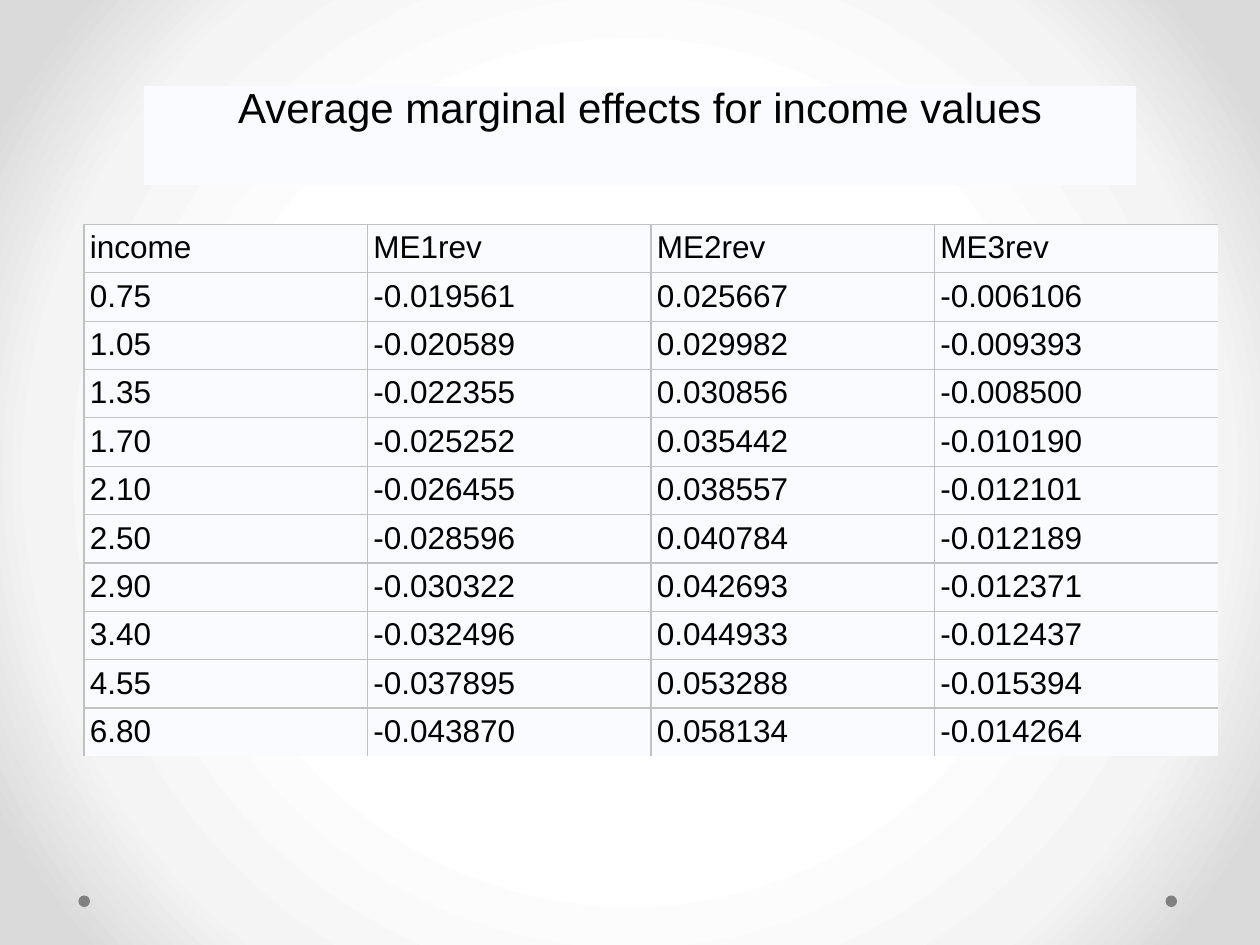
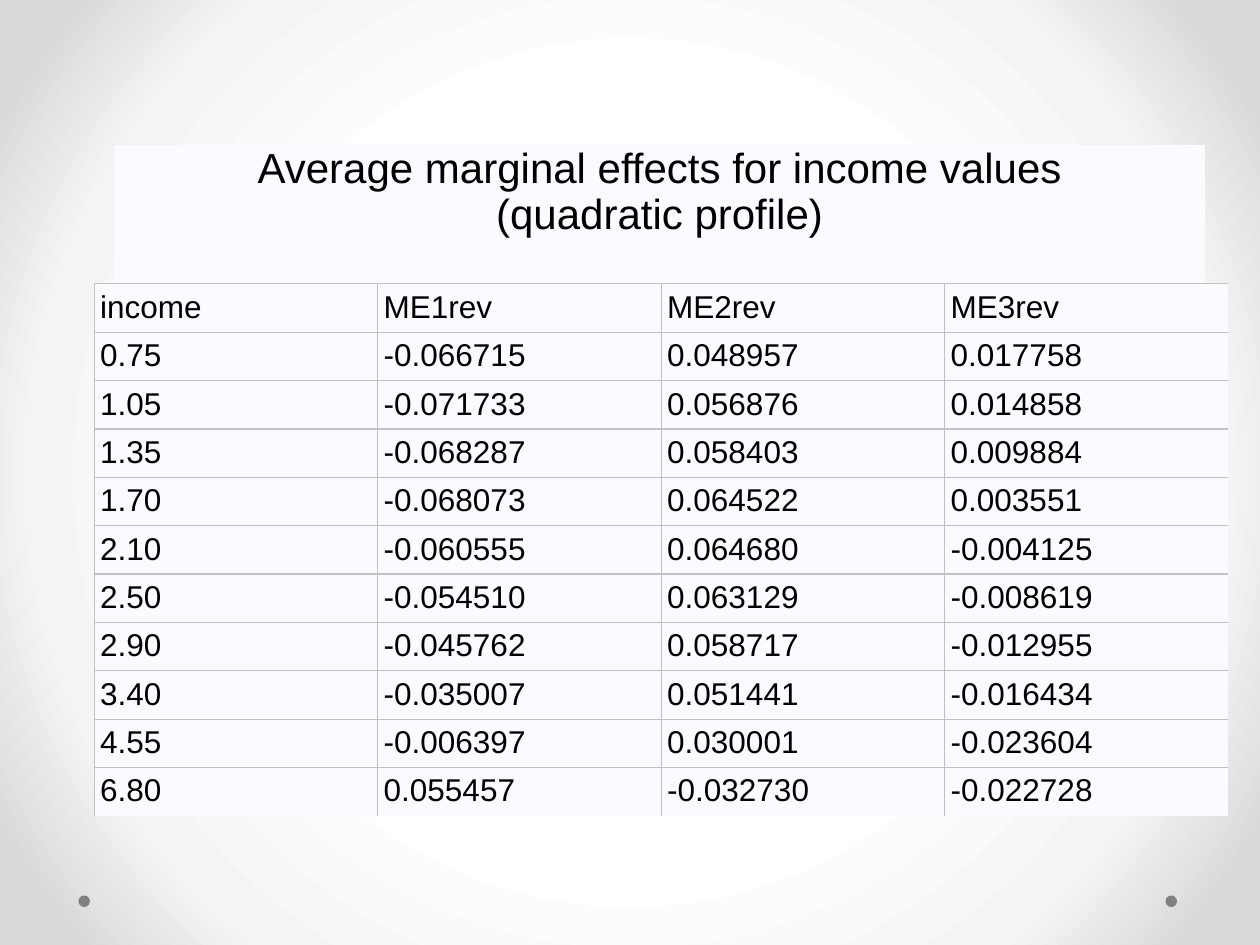
from dataclasses import dataclass

from lxml.etree import SubElement
from pptx import Presentation
from pptx.dml.color import RGBColor
from pptx.enum.shapes import MSO_SHAPE
from pptx.enum.text import PP_ALIGN
from pptx.oxml.ns import qn
from pptx.util import Pt

HEADINGS = ("income", "ME1rev", "ME2rev", "ME3rev")
INCOMES = ("0.75", "1.05", "1.35", "1.70", "2.10", "2.50", "2.90", "3.40", "4.55", "6.80")

PAGES = [
    {
        "title": ["Average marginal effects for income values"],
        "title_place": (82.3, 49, 566.9, 56.7),
        "effects_place": (48, 128.2),
        "effects": [
            ("-0.019561", "0.025667", "-0.006106"),
            ("-0.020589", "0.029982", "-0.009393"),
            ("-0.022355", "0.030856", "-0.008500"),
            ("-0.025252", "0.035442", "-0.010190"),
            ("-0.026455", "0.038557", "-0.012101"),
            ("-0.028596", "0.040784", "-0.012189"),
            ("-0.030322", "0.042693", "-0.012371"),
            ("-0.032496", "0.044933", "-0.012437"),
            ("-0.037895", "0.053288", "-0.015394"),
            ("-0.043870", "0.058134", "-0.014264"),
        ],
    },
    {
        "title": ["Average marginal effects for income values", "(quadratic profile)"],
        "title_place": (65.2, 82.9, 623.4, 85),
        "effects_place": (53.9, 162.2),
        "effects": [
            ("-0.066715", "0.048957", "0.017758"),
            ("-0.071733", "0.056876", "0.014858"),
            ("-0.068287", "0.058403", "0.009884"),
            ("-0.068073", "0.064522", "0.003551"),
            ("-0.060555", "0.064680", "-0.004125"),
            ("-0.054510", "0.063129", "-0.008619"),
            ("-0.045762", "0.058717", "-0.012955"),
            ("-0.035007", "0.051441", "-0.016434"),
            ("-0.006397", "0.030001", "-0.023604"),
            ("0.055457", "-0.032730", "-0.022728"),
        ],
    },
]


@dataclass(frozen=True)
class Theme:
    font: str = "Arial"
    text: str = "000000"
    cell: str = "FAFBFE"
    border: str = "C1C1C1"
    dot: str = "808080"
    glow: tuple = ((50, "FFFFFF"), (76, "F4F4F4"), (92, "DADADA"))
    title_size: float = 24
    body_size: float = 18
    border_width: float = 0.75


THEME = Theme()
PAGE_SIZE = (720, 540)
COLUMN_WIDTH = 162
ROW_HEIGHT = 27.66
CELL_INSET = 3.4
DOT_LEFTS = (666, 44.8)
DOT_TOP, DOT_SIZE = 511.7, 6.6


def paint_background(master):
    fill = master.background.fill
    fill.gradient()
    gradient = next(master.element.iter(qn("a:gradFill")))
    for child in list(gradient):
        gradient.remove(child)
    stops = SubElement(gradient, qn("a:gsLst"))
    for position, color in THEME.glow:
        stop = SubElement(stops, qn("a:gs"), pos=str(position * 1000))
        SubElement(stop, qn("a:srgbClr"), val=color)
    circle = SubElement(gradient, qn("a:path"), path="circle")
    SubElement(circle, qn("a:fillToRect"), {side: "50000" for side in "ltrb"})


def add_dots(page):
    for left in DOT_LEFTS:
        dot = page.shapes.add_shape(
            MSO_SHAPE.OVAL, Pt(left), Pt(DOT_TOP), Pt(DOT_SIZE), Pt(DOT_SIZE))
        dot.shadow.inherit = False
        dot.fill.solid()
        dot.fill.fore_color.rgb = RGBColor.from_string(THEME.dot)
        dot.line.fill.background()


def set_borders(cell, sides):
    properties = cell._tc.get_or_add_tcPr()
    for index, side in enumerate("LRTB"):
        line = properties.makeelement(
            qn(f"a:ln{side}"), {"w": str(Pt(THEME.border_width))})
        if side in sides:
            solid = SubElement(line, qn("a:solidFill"))
            SubElement(solid, qn("a:srgbClr"), val=THEME.border)
        else:
            SubElement(line, qn("a:noFill"))
        properties.insert(index, line)


def fill_cell(cell, lines, size, inset, align, sides):
    cell.margin_left = cell.margin_right = Pt(inset)
    cell.margin_top = cell.margin_bottom = Pt(inset)
    cell.fill.solid()
    cell.fill.fore_color.rgb = RGBColor.from_string(THEME.cell)
    set_borders(cell, sides)
    frame = cell.text_frame
    for index, line in enumerate(lines):
        para = frame.add_paragraph() if index else frame.paragraphs[0]
        para.alignment = align
        span = para.add_run()
        span.text = line
        span.font.name = THEME.font
        span.font.size = Pt(size)
        span.font.color.rgb = RGBColor.from_string(THEME.text)


def add_plain_table(page, rows, columns, place):
    table = page.shapes.add_table(rows, columns, *map(Pt, place)).table
    table.first_row = table.horz_banding = False
    return table


def add_title(page, lines, place):
    table = add_plain_table(page, 1, 1, place)
    fill_cell(table.cell(0, 0), lines, THEME.title_size, 0, PP_ALIGN.CENTER, "")


def add_effects(page, effects, place):
    rows = [HEADINGS] + [(income, *values) for income, values in zip(INCOMES, effects)]
    last_row, last_column = len(rows) - 1, len(HEADINGS) - 1
    size = (COLUMN_WIDTH * len(HEADINGS), ROW_HEIGHT * len(rows))
    table = add_plain_table(page, len(rows), len(HEADINGS), place + size)
    for row, values in enumerate(rows):
        table.rows[row].height = Pt(ROW_HEIGHT)
        for column, value in enumerate(values):
            sides = "LT" + "R" * (column < last_column) + "B" * (row < last_row)
            fill_cell(table.cell(row, column), [value], THEME.body_size,
                      CELL_INSET, PP_ALIGN.LEFT, sides)


def main():
    deck = Presentation()
    deck.slide_width, deck.slide_height = map(Pt, PAGE_SIZE)
    paint_background(deck.slide_master)
    for content in PAGES:
        page = deck.slides.add_slide(deck.slide_layouts[6])
        add_dots(page)
        add_title(page, content["title"], content["title_place"])
        add_effects(page, content["effects"], content["effects_place"])
    deck.save("out.pptx")


if __name__ == "__main__":
    main()
